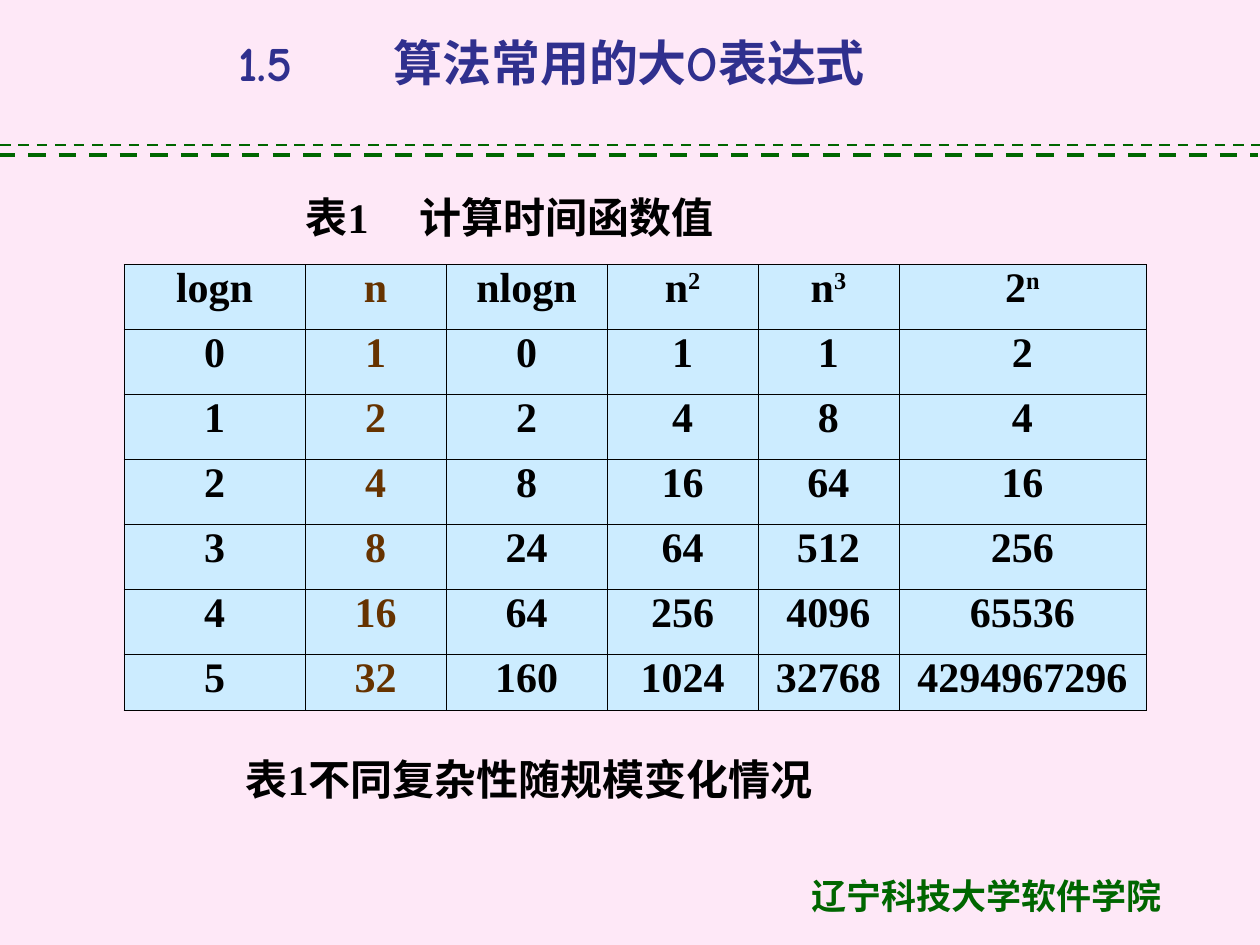
import lxml.etree
import pptx
import pptx.dml.color
import pptx.enum.dml
import pptx.enum.shapes
import pptx.enum.text
import pptx.oxml.ns
import pptx.util

Cm = pptx.util.Cm
RGBColor = pptx.dml.color.RGBColor

PINK = RGBColor(0xFE, 0xE8, 0xF7)
GREEN = RGBColor(0x00, 0x66, 0x00)
NAVY = RGBColor(0x30, 0x30, 0x8E)
BLACK = RGBColor(0x00, 0x00, 0x00)
BROWN = RGBColor(0x66, 0x33, 0x00)
PALE_BLUE = RGBColor(0xCC, 0xEC, 0xFF)

BODY_FONT = "Times New Roman"
TITLE_FONT = "Comic Neue"

COLUMN_WIDTHS = (3.65, 2.84, 3.25, 3.04, 2.84, 4.98)
ROW_HEIGHTS = (1.31,) * 6 + (1.13,)
HEADINGS = ("logn", "n", "nlogn", "n^2", "n^3", "2^n")
INPUT_COLUMN = HEADINGS.index("n")


def add_child(parent, tag, **attributes):
    """Append a drawing element to a parent element."""
    return lxml.etree.SubElement(parent, pptx.oxml.ns.qn(tag), attributes)


def format_run(run, size, color, font_name):
    """Apply the bold text style of the slide to a run."""
    run.font.size = pptx.util.Pt(size)
    run.font.bold = True
    run.font.name = font_name
    run.font.color.rgb = color


def add_label(slide, box, text, size, color, font_name=BODY_FONT, tab=None):
    """Place one line of text in a box, with an optional tab stop in cm."""
    text_frame = slide.shapes.add_textbox(*map(Cm, box)).text_frame
    text_frame.word_wrap = True
    text_frame.vertical_anchor = pptx.enum.text.MSO_ANCHOR.MIDDLE
    text_frame.text = text
    paragraph = text_frame.paragraphs[0]
    paragraph.alignment = pptx.enum.text.PP_ALIGN.LEFT
    if tab is not None:
        tab_list = add_child(paragraph._p.get_or_add_pPr(), "a:tabLst")
        add_child(tab_list, "a:tab", pos=str(int(Cm(tab))), algn="l")
    for run in paragraph.runs:
        format_run(run, size, color, font_name)


def add_divider(slide, box):
    """Draw a thin and a thick dashed rule along the top and bottom of a box."""
    left, top, width, height = box
    for x, y, weight in ((left, top, 1.5), (left - 0.05, top + height, 2.5)):
        line = slide.shapes.add_connector(
            pptx.enum.shapes.MSO_CONNECTOR.STRAIGHT, Cm(x), Cm(y), Cm(x + width), Cm(y)
        )
        line.line.color.rgb = GREEN
        line.line.width = pptx.util.Pt(weight)
        line.line.dash_style = pptx.enum.dml.MSO_LINE.DASH
        add_child(line._element.spPr, "a:effectLst")


def add_borders(cell):
    """Give a cell thin black borders on all four sides."""
    properties = cell._tc.get_or_add_tcPr()
    for side in ("a:lnL", "a:lnR", "a:lnT", "a:lnB"):
        border = add_child(properties, side, w=str(int(pptx.util.Pt(0.45))))
        add_child(add_child(border, "a:solidFill"), "a:srgbClr", val=str(BLACK))


def fill_cell(cell, text, color):
    """Write a centred value, raising whatever follows a caret."""
    add_borders(cell)
    cell.fill.solid()
    cell.fill.fore_color.rgb = PALE_BLUE
    base, _, exponent = text.partition("^")
    cell.text_frame.text = base
    paragraph = cell.text_frame.paragraphs[0]
    paragraph.alignment = pptx.enum.text.PP_ALIGN.CENTER
    paragraph.line_spacing = 0.85
    if exponent:
        raised = paragraph.add_run()
        raised.text = exponent
        raised._r.get_or_add_rPr().set("baseline", "30000")
    for run in paragraph.runs:
        format_run(run, 24, color, BODY_FONT)


def add_growth_table(slide, left, top):
    """Build the table of growth functions for log n from 0 to 5."""
    rows = [HEADINGS]
    for log_n in range(6):
        n = 2**log_n
        rows.append([str(value) for value in (log_n, n, n * log_n, n**2, n**3, 2**n)])
    table = slide.shapes.add_table(
        len(rows), len(HEADINGS), Cm(left), Cm(top),
        Cm(sum(COLUMN_WIDTHS)), Cm(sum(ROW_HEIGHTS)),
    ).table
    table.first_row = False
    table.horz_banding = False
    for column, width in zip(table.columns, COLUMN_WIDTHS):
        column.width = Cm(width)
    for row, height, values in zip(table.rows, ROW_HEIGHTS, rows):
        row.height = Cm(height)
        for index, (cell, value) in enumerate(zip(row.cells, values)):
            fill_cell(cell, value, BROWN if index == INPUT_COLUMN else BLACK)


def main():
    """Build and save the slide."""
    presentation = pptx.Presentation()
    presentation.slide_width = Cm(25.4)
    presentation.slide_height = Cm(19.05)
    slide = presentation.slides.add_slide(presentation.slide_layouts[6])
    slide.background.fill.solid()
    slide.background.fill.fore_color.rgb = PINK

    add_label(slide, (16.1, 17.5, 8.99, 1.12), "辽宁科技大学软件学院", 20, GREEN)
    add_divider(slide, (0, 2.92, 25.4, 0.2))
    add_label(slide, (4.56, 0.45, 14.4, 1.6), "1.5\t算法常用的大O表达式", 28, NAVY, TITLE_FONT, tab=3.12)
    add_growth_table(slide, 2.5, 5.33)
    add_label(slide, (5.91, 3.73, 9.2, 1.27), "表1\t计算时间函数值", 24, BLACK, tab=2.3)
    add_label(slide, (4.7, 15.06, 12.8, 1.27), "表1不同复杂性随规模变化情况", 24, BLACK)
    presentation.save("out.pptx")


if __name__ == "__main__":
    main()
